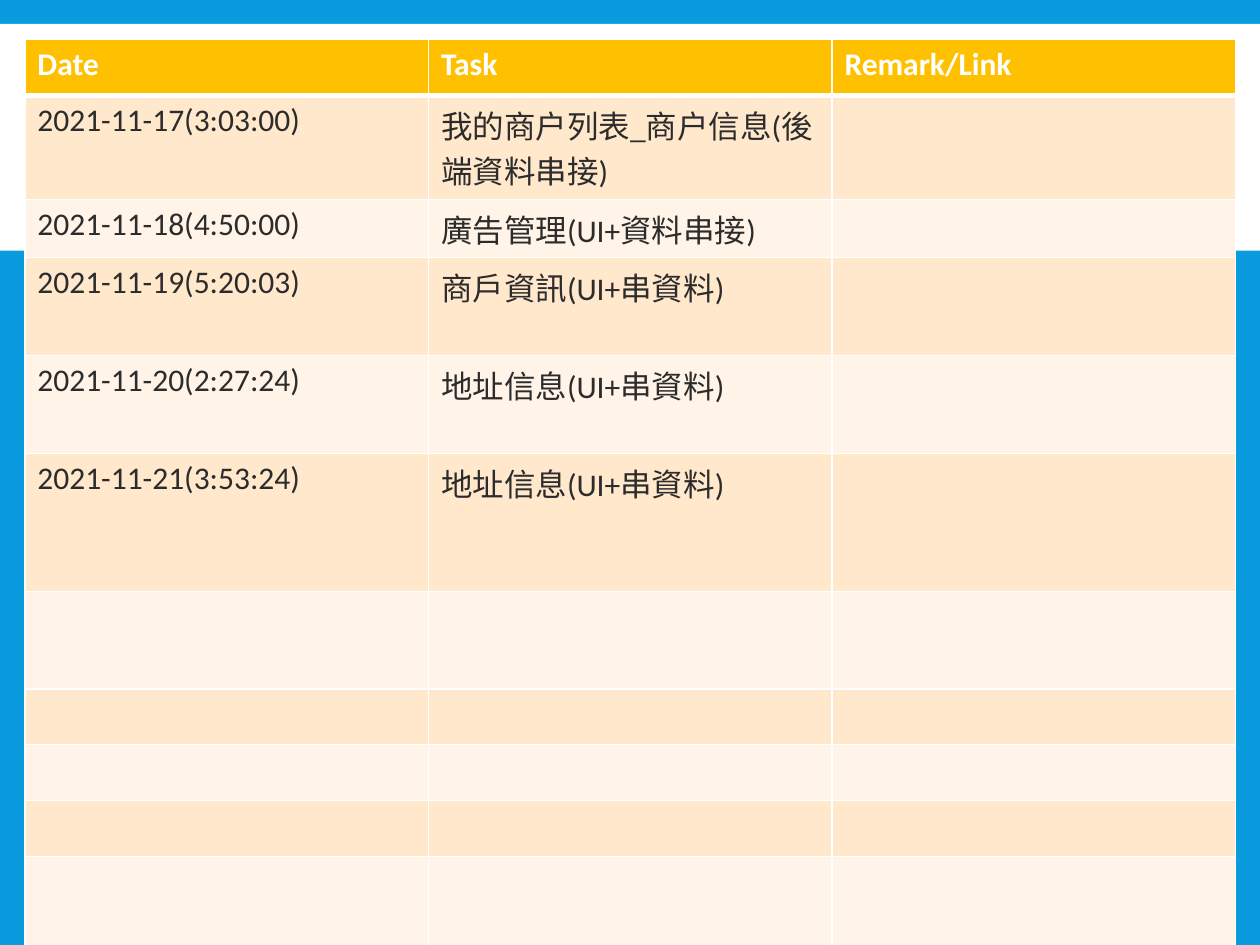
from lxml.etree import SubElement
from pptx import Presentation
from pptx.dml.color import RGBColor
from pptx.enum.shapes import MSO_SHAPE
from pptx.oxml.ns import qn
from pptx.util import Pt


def rgb(value):
    return RGBColor.from_string(value)


def write(cell, text, color="2C2C2C", bold=False, size=18, font="Calibri"):
    p = cell.text_frame.paragraphs[0]
    p.font.size = Pt(size)
    if text:
        r = p.add_run()
        r.text = text
        r.font.name = font
        r.font.size = Pt(size)
        r.font.bold = bold
        r.font.color.rgb = rgb(color)


prs = Presentation()
prs.slide_width, prs.slide_height = Pt(720), Pt(540)
s = prs.slides.add_slide(prs.slide_layouts[6])
s.background.fill.solid()
s.background.fill.fore_color.rgb = rgb("099BDD")

band = s.shapes.add_shape(MSO_SHAPE.RECTANGLE, Pt(0), Pt(13.7), Pt(720), Pt(129.6))
band.shadow.inherit = False
band.fill.solid()
band.fill.fore_color.rgb = rgb("FFFFFF")
band.line.fill.background()

rows = [
    ("Date", "Task", "Remark/Link"),
    ("2021-11-17(3:03:00)", "我的商户列表_商户信息(後端資料串接)", ""),
    ("2021-11-18(4:50:00)", "廣告管理(UI+資料串接)", ""),
    ("2021-11-19(5:20:03)", "商戶資訊(UI+串資料)", ""),
    ("2021-11-20(2:27:24)", "地址信息(UI+串資料)", ""),
    ("2021-11-21(3:53:24)", "地址信息(UI+串資料)", ""),
] + [("", "", "")] * 5
heights = [32, 32, 32, 56, 56, 79, 55.5, 32, 32, 32, 55.5]

table = s.shapes.add_table(len(rows), 3, Pt(14.2), Pt(22.6), Pt(691.8), Pt(sum(heights))).table
for col in table.columns:
    col.width = Pt(230.6)

for i, (texts, height) in enumerate(zip(rows, heights)):
    table.rows[i].height = Pt(height)
    header = i == 0
    fill = "FFC000" if header else ("FFF4E7", "FFE8CC")[i % 2]
    for j, text in enumerate(texts):
        cell = table.cell(i, j)
        write(cell, text, color="FFFFFF" if header else "2C2C2C", bold=header)
        tcPr = cell._tc.get_or_add_tcPr()
        for side in "LRTB":
            thick = (header and side == "B") or (i == 1 and side == "T")
            ln = SubElement(tcPr, qn(f"a:ln{side}"), w=str(Pt(3 if thick else 1)))
            SubElement(SubElement(ln, qn("a:solidFill")), qn("a:srgbClr"), val="FFFFFF")
        cell.fill.solid()
        cell.fill.fore_color.rgb = rgb(fill)

prs.save("out.pptx")
